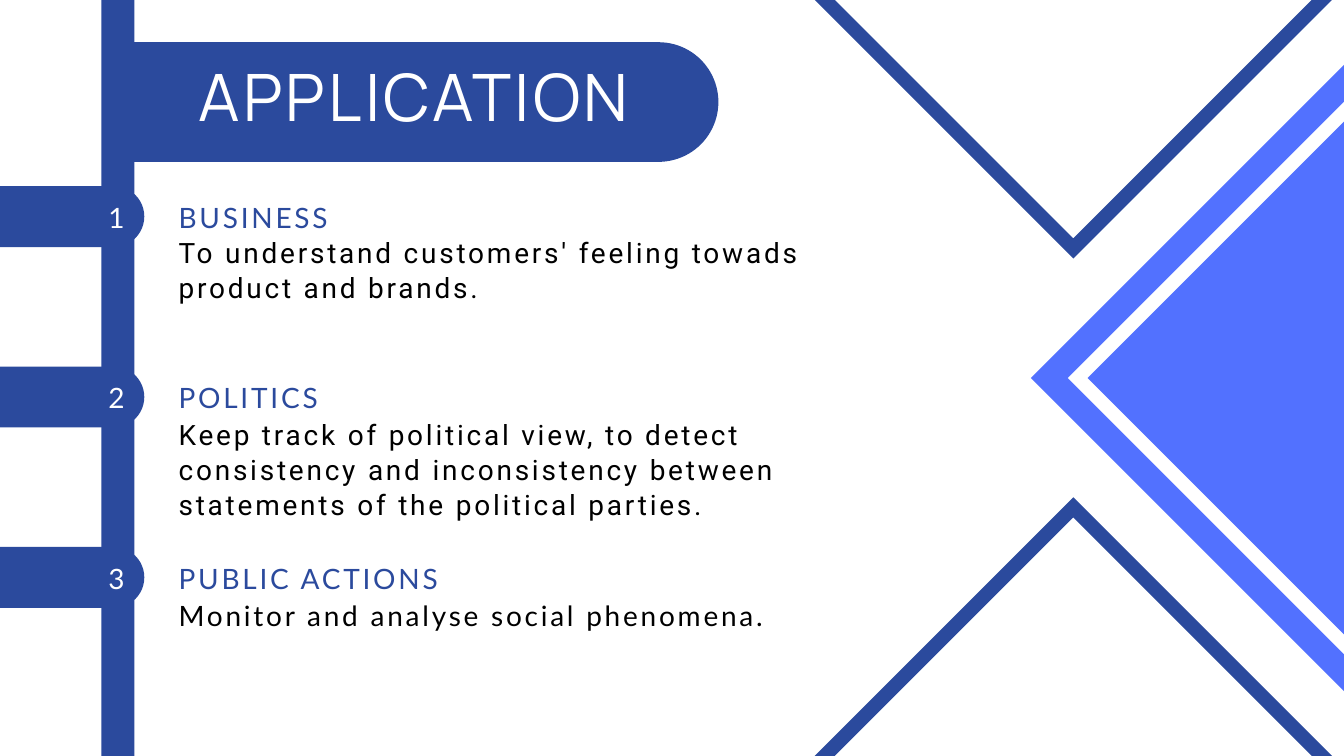
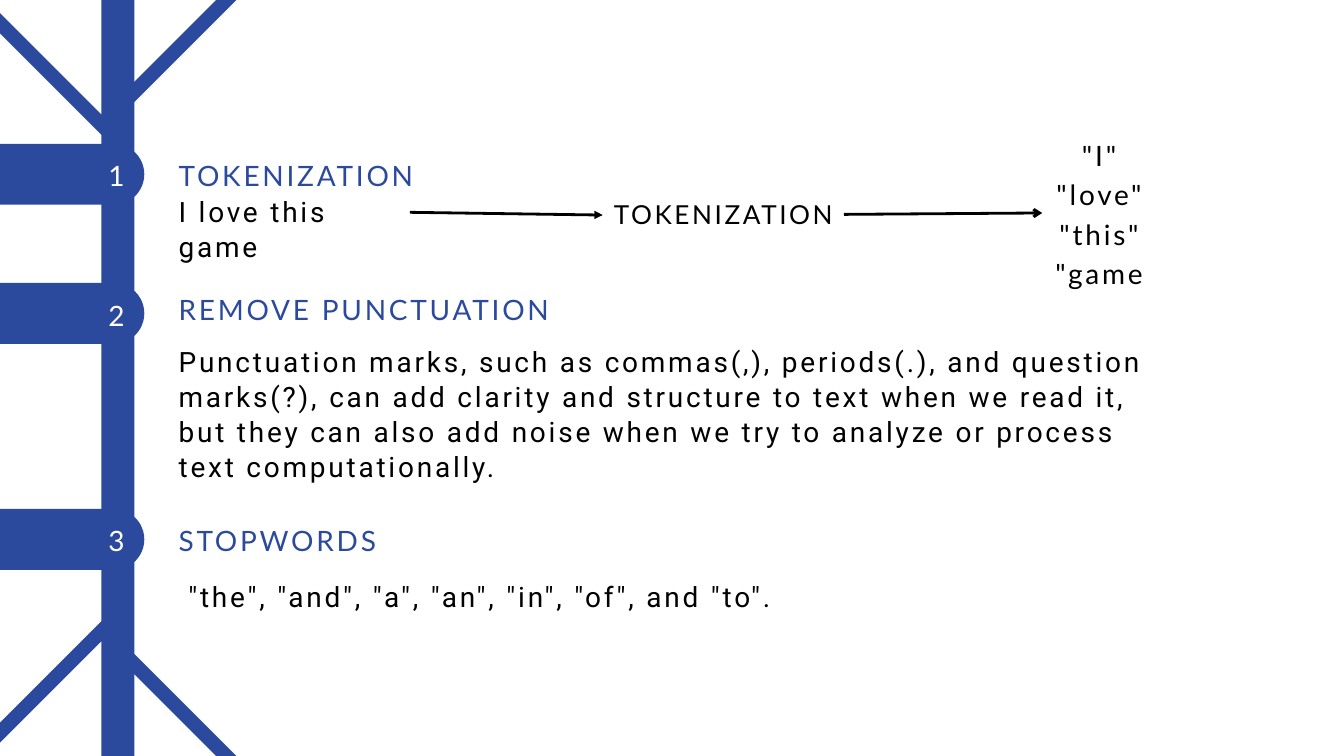
from lxml import etree
from pptx import Presentation, util as u
from pptx.dml.color import RGBColor
from pptx.enum import shapes, text
from pptx.oxml.ns import qn

COLORS = {"navy": "2B4A9D", "bright": "5271FF", "white": "FFFFFF", "black": "000000"}
WIDTH, HEIGHT = 1440, 810
RAIL_LEFT, RAIL_WIDTH = 108.7, 35.3
TAB_LENGTH, TAB_HEIGHT = 154.6, 65.3
TEXT_LEFT, TEXT_WIDTH = 191.4, 702.7
FRAME_SIZE, FRAME_BAND = 485.4, 15.3
LEFT, CENTER = text.PP_ALIGN.LEFT, text.PP_ALIGN.CENTER
BOX_FORMAT = {
    "margin_left": 0, "margin_top": 0, "margin_right": 0, "margin_bottom": 0,
    "word_wrap": True, "auto_size": text.MSO_AUTO_SIZE.SHAPE_TO_FIT_TEXT,
}


def text_style(name, color, size=30, leading=42, spacing=3, align=LEFT):
    """Return the format values of one kind of text."""
    return {
        "font": {"name": name, "size": u.Pt(size)},
        "paragraph": {"line_spacing": u.Pt(leading), "alignment": align},
        "color": color,
        "spacing": spacing,
    }


STYLES = {
    "title": text_style("Manrope", "white", 70, 73.5, 3.5, CENTER),
    "heading": text_style("Lato", "navy"),
    "number": text_style("Lato", "white", align=CENTER),
    "body": text_style("Roboto", "black", leading=37.5),
    "lato_body": text_style("Lato", "black", leading=37.5),
    "step": text_style("Lato", "black", 28, 39.2, 2.8, CENTER),
    "tokens": text_style("Lato", "black", align=CENTER),
}


def apply(target, values):
    """Set each named attribute on the target."""
    for key, value in values.items():
        setattr(target, key, value)


def rgb(color):
    """Return the named colour."""
    return RGBColor.from_string(COLORS[color])


def add_block(slide, kind, left, top, width, height, color="navy", rotation=0, adjustments=()):
    """Draw a plain filled shape."""
    block = slide.shapes.add_shape(kind, *map(u.Pt, (left, top, width, height)))
    block.shadow.inherit = False
    block.fill.solid()
    block.fill.fore_color.rgb = rgb(color)
    block.line.fill.background()
    block.rotation = rotation
    for index, value in enumerate(adjustments):
        block.adjustments[index] = value


def add_text(slide, lines, style, left, top, width, height, indent=0):
    """Write lines as the paragraphs of one text box."""
    values = STYLES[style]
    frame = slide.shapes.add_textbox(*map(u.Pt, (left, top, width, height))).text_frame
    apply(frame, BOX_FORMAT | {"margin_left": u.Pt(indent)})
    for index, line in enumerate(lines):
        paragraph = frame.add_paragraph() if index else frame.paragraphs[0]
        apply(paragraph, values["paragraph"])
        run = paragraph.add_run()
        run.text = line
        apply(run.font, values["font"])
        run.font.color.rgb = rgb(values["color"])
        run._r.get_or_add_rPr().set("spc", str(round(values["spacing"] * 100)))


def add_bar(slide, left, top, length, height):
    """Draw a bar with a round right end."""
    add_block(slide, shapes.MSO_SHAPE.ROUND_2_SAME_RECTANGLE,
              left + (length - height) / 2, top - (length - height) / 2,
              height, length, rotation=90, adjustments=(0.5, 0))


def add_diamond(slide, center_x, center_y, size, color="navy", band=None):
    """Draw a square standing on its corner, hollow if a band is given."""
    kind = shapes.MSO_SHAPE.FRAME if band else shapes.MSO_SHAPE.RECTANGLE
    add_block(slide, kind, center_x - size / 2, center_y - size / 2, size, size,
              color, 45, (band / size,) if band else ())


def add_frames(slide, center_x, centers_y):
    """Draw the hollow diamonds that cross the top and bottom edges."""
    for center_y in centers_y:
        add_diamond(slide, center_x, center_y, FRAME_SIZE, band=FRAME_BAND)


def add_arrow(slide, start, end, head):
    """Draw a black line with an arrowhead at its end."""
    arrow = slide.shapes.add_connector(shapes.MSO_CONNECTOR.STRAIGHT, *map(u.Pt, start + end))
    arrow.line.width = u.Pt(3)
    arrow.line.color.rgb = rgb("black")
    etree.SubElement(arrow.line._get_or_add_ln(), qn("a:tailEnd"), type=head)
    etree.SubElement(arrow._element.spPr, qn("a:effectLst"))


def add_rail(slide):
    """Draw the upright rail that holds the numbered tabs."""
    add_block(slide, shapes.MSO_SHAPE.RECTANGLE, RAIL_LEFT, 0, RAIL_WIDTH, HEIGHT)


def add_topic(slide, number, top, heading, body, body_top, lines=1, style="body",
              width=TEXT_WIDTH, indent=0, number_drop=9.3, heading_drop=9.3):
    """Draw a numbered tab with its heading and body."""
    add_bar(slide, 0, top, TAB_LENGTH, TAB_HEIGHT)
    add_text(slide, [str(number)], "number", 105.8, top + number_drop, 38.2, 41)
    add_text(slide, [heading], "heading", TEXT_LEFT, top + heading_drop, TEXT_WIDTH, 41)
    add_text(slide, [body], style, TEXT_LEFT, body_top, width, lines * 37.5, indent)


def build_application(prs):
    """Build the slide on fields of application."""
    slide = prs.slides.add_slide(prs.slide_layouts[6])
    add_rail(slide)
    add_diamond(slide, 1470, 405, 517, "bright")
    add_diamond(slide, 1470, 405, 460.8, "white", 14.8)
    add_frames(slide, 1150, (876, -66.2))
    add_bar(slide, 143.3, 45.2, 626.4, 128.2)
    add_text(slide, ["APPLICATION"], "title", 167, 70.6, 553, 79.9)
    topics = [
        ("BUSINESS", "To understand customers' feeling towads product and brands.", 2, "body"),
        ("POLITICS", "Keep track of political view, to detect consistency and inconsistency "
                     "between statements of the political parties.", 3, "body"),
        ("PUBLIC ACTIONS", "Monitor and analyse social phenomena.", 1, "lato_body"),
    ]
    for index, (heading, body, lines, style) in enumerate(topics):
        add_topic(slide, index + 1, 199.4 + index * 193.3, heading, body,
                  251.3 + index * 194, lines, style)


def build_preprocessing(prs):
    """Build the slide on the steps of text cleaning."""
    slide = prs.slides.add_slide(prs.slide_layouts[6])
    add_rail(slide)
    add_frames(slide, 108.7, (-198.7, 1008.7))
    add_topic(slide, 1, 154.1, "TOKENIZATION", "I love this game", 206.6, 2, width=243.4)
    add_topic(slide, 2, 303.1, "REMOVE PUNCTUATION",
              "Punctuation marks, such as commas(,), periods(.), and question marks(?), can add "
              "clarity and structure to text when we read it, but they can also add noise when "
              "we try to analyze or process text computationally.",
              367.2, 4, width=1034.6, number_drop=10.8, heading_drop=4.3)
    add_topic(slide, 3, 545.3, "STOPWORDS",
              '"the", "and", "a", "an", "in", "of", and "to".', 619.2, indent=10.4)
    add_arrow(slide, (439.2, 227.5), (645.8, 230.4), "triangle")
    add_text(slide, ["TOKENIZATION"], "step", 652.3, 206.6, 245.5, 38.9)
    add_arrow(slide, (904.3, 229.7), (1116.7, 228.2), "arrow")
    add_text(slide, ['"I"', '"love"', '"this"', '"game'], "tokens", 1129, 142.6, 97.2, 167)


def main():
    """Build and save the presentation."""
    prs = Presentation()
    prs.slide_width, prs.slide_height = u.Pt(WIDTH), u.Pt(HEIGHT)
    build_application(prs)
    build_preprocessing(prs)
    prs.save("out.pptx")


if __name__ == "__main__":
    main()
